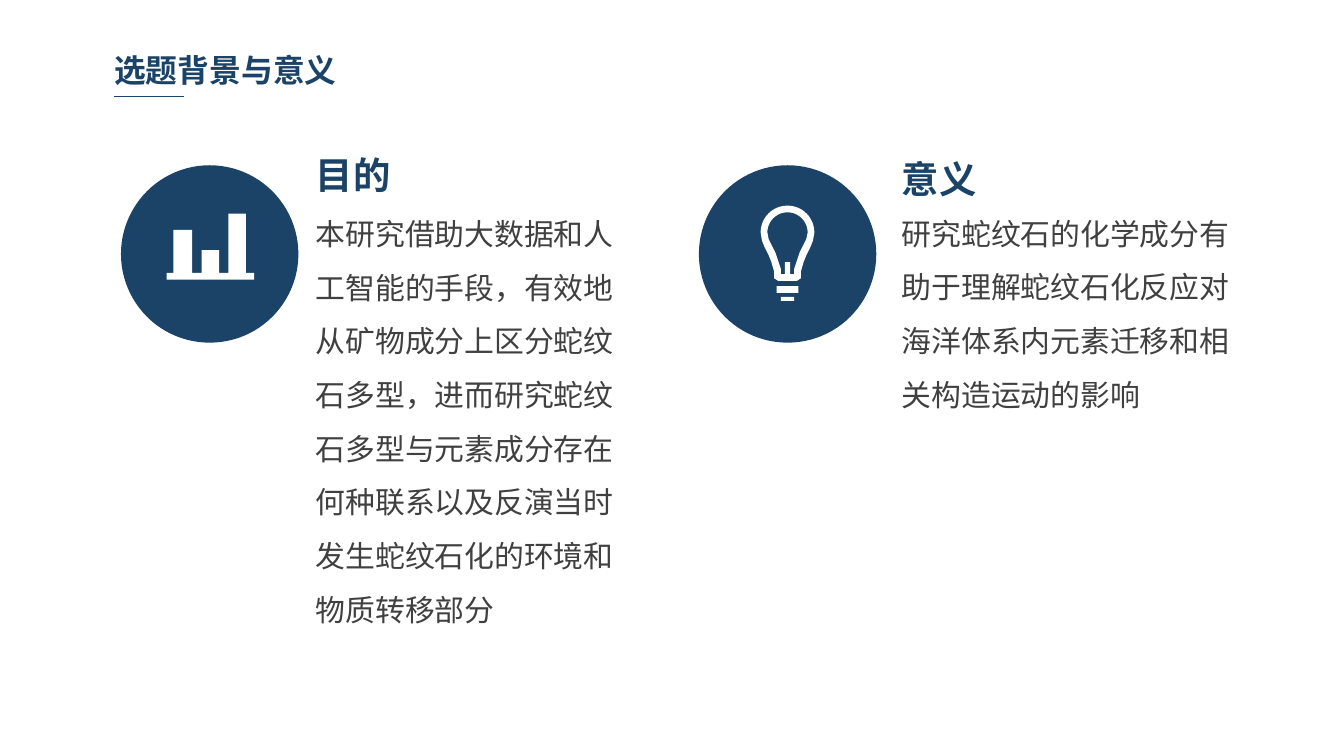
"""Build the slide on the background and significance of the research topic."""
from math import cos, pi, sin
from lxml.etree import SubElement
from pptx import Presentation
from pptx.dml.color import RGBColor
from pptx.enum.shapes import MSO_CONNECTOR, MSO_SHAPE
from pptx.enum.text import MSO_AUTO_SIZE
from pptx.oxml.ns import qn
from pptx.util import Inches, Pt

NAVY = RGBColor(0x1B, 0x43, 0x67)
GREY = RGBColor(0x40, 0x40, 0x40)
WHITE = RGBColor(0xFF, 0xFF, 0xFF)
FONT = "Noto Sans CJK SC"

prs = Presentation()
prs.slide_width, prs.slide_height = Inches(10), Inches(10 * 9 / 16)
slide = prs.slides.add_slide(prs.slide_layouts[6])


def add_text(text, left, top, width, height, size, color, bold=False, spacing=None, insets=(0, 0)):
    frame = slide.shapes.add_textbox(Inches(left), Inches(top), Inches(width), Inches(height)).text_frame
    frame.word_wrap = True
    frame.auto_size = MSO_AUTO_SIZE.SHAPE_TO_FIT_TEXT
    frame.margin_left = frame.margin_right = Inches(insets[0])
    frame.margin_top = frame.margin_bottom = Inches(insets[1])
    frame.text = text
    paragraph = frame.paragraphs[0]
    paragraph.line_spacing = spacing
    font = paragraph.runs[0].font
    font.name, font.size, font.bold = FONT, Pt(size), bold
    font.color.rgb = color
    SubElement(paragraph.runs[0].font._element, qn("a:ea"), typeface=FONT)


def add_icon(contours):
    contours = [[(Inches(x), Inches(y)) for x, y in contour] for contour in contours]
    builder = slide.shapes.build_freeform(*contours[0][0])
    builder.add_line_segments(contours[0][1:], close=True)
    for contour in contours[1:]:
        builder.move_to(*contour[0])
        builder.add_line_segments(contour[1:], close=True)
    icon = builder.convert_to_shape()
    icon.shadow.inherit = False
    icon.fill.solid()
    icon.fill.fore_color.rgb = WHITE
    icon.line.fill.background()


add_text("选题背景与意义", 0.78, 0.34, 2.47, 0.36, 17, NAVY, bold=True, insets=(0.07, 0.04))
underline = slide.shapes.add_connector(
    MSO_CONNECTOR.STRAIGHT, Inches(0.85), Inches(0.72), Inches(1.37), Inches(0.72))
underline.line.color.rgb = NAVY
underline.line.width = Pt(0.75)
SubElement(underline._element.spPr, qn("a:effectLst"))

bar_chart = [(1.24, 2.08), (1.24, 2.03)]
for left, right, top in [(1.29, 1.43, 1.71), (1.5, 1.63, 1.86), (1.7, 1.83, 1.59)]:
    bar_chart += [(left, 2.03), (left, top), (right, top), (right, 2.03)]
bar_chart += [(1.89, 2.03), (1.89, 2.08)]

BULB_X, BULB_Y = 5.86, 1.73
outer_side = [(0.19, 1.79), (0.17, 1.84), (0.14, 1.9), (0.12, 1.95), (0.1, 2.02), (0.1, 2.07), (0.07, 2.09)]
inner_side = [(0.14, 1.78), (0.12, 1.82), (0.09, 1.88), (0.07, 1.94), (0.05, 2), (0.05, 2.04),
              (0.02, 2.04), (0.02, 1.95)]
bulb = []
for radius, side in [(0.2, outer_side), (0.15, inner_side)]:
    angles = [step * pi / 24 for step in range(13)]
    half = [(radius * sin(a), BULB_Y - radius * cos(a)) for a in angles] + side
    right_half = [(BULB_X + x, y) for x, y in half]
    left_half = [(BULB_X - x, y) for x, y in reversed(half[1:])]
    bulb.append(right_half + left_half)
for half_width, top, bottom in [(0.08, 2.13, 2.18), (0.05, 2.21, 2.24)]:
    left, right = BULB_X - half_width, BULB_X + half_width
    bulb.append([(left, top), (right, top), (right, bottom), (left, bottom)])

purpose = ("本研究借助大数据和人工智能的手段，有效地从矿物成分上区分蛇纹石多型，"
           "进而研究蛇纹石多型与元素成分存在何种联系以及反演当时发生蛇纹石化的环境和物质转移部分")
significance = "研究蛇纹石的化学成分有助于理解蛇纹石化反应对海洋体系内元素迁移和相关构造运动的影响"
topics = [
    ("目的", purpose, 0.9, [bar_chart], 2.35, 1.13, 2.36, 3.18),
    ("意义", significance, 5.2, bulb, 6.71, 1.16, 2.51, 1.57),
]
for heading, body, disc_left, icon_contours, left, heading_top, width, height in topics:
    disc = slide.shapes.add_shape(
        MSO_SHAPE.FLOWCHART_CONNECTOR, Inches(disc_left), Inches(1.23), Inches(1.32), Inches(1.32))
    disc.shadow.inherit = False
    disc.fill.solid()
    disc.fill.fore_color.rgb = NAVY
    disc.line.fill.background()
    add_icon(icon_contours)
    add_text(heading, left, heading_top, 1.53, 0.34, 20, NAVY, bold=True)
    add_text(body, left, 1.47, width, height, 16, GREY, spacing=1.5)

prs.save("out.pptx")
